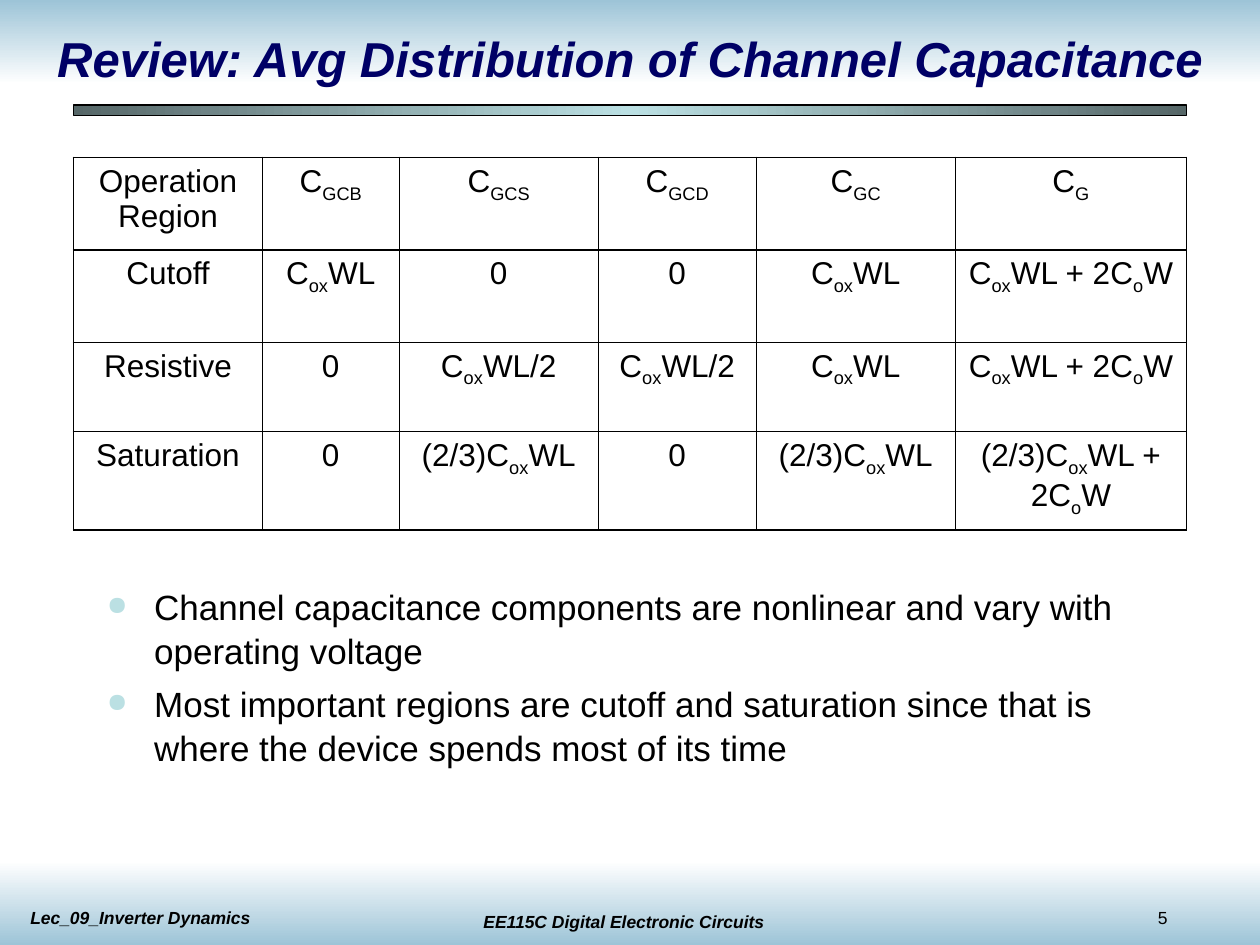
from dataclasses import dataclass

from lxml import etree
from pptx import Presentation
from pptx.dml.color import RGBColor
from pptx.enum.shapes import MSO_SHAPE
from pptx.enum.text import MSO_ANCHOR, PP_ALIGN
from pptx.oxml.ns import qn
from pptx.slide import Slide
from pptx.table import _Cell
from pptx.text.text import _Paragraph
from pptx.util import Pt

RECTANGLE = MSO_SHAPE.RECTANGLE
MIDDLE, TOP = MSO_ANCHOR.MIDDLE, MSO_ANCHOR.TOP
LEFT, CENTER = PP_ALIGN.LEFT, PP_ALIGN.CENTER

EMU_PER_PX = 7620
FONT = "Arial"
COLORS = {
    "ink": "000000",
    "title": "000066",
    "sky": "9DC4D7",
    "paper": "FFFFFF",
    "slate": "566768",
    "aqua": "BBE0E3",
}
HEAVY, LIGHT = 1.08, 0.45


@dataclass(frozen=True)
class Band:
    left: int
    top: int
    width: int
    height: int
    stops: tuple[str, ...]
    angle: int
    outlined: bool = False


@dataclass(frozen=True)
class Label:
    left: int
    top: int
    width: int
    height: int
    text: str
    size: int = 10
    color: str = "ink"
    emphasis: bool = True
    align: PP_ALIGN = LEFT
    anchor: MSO_ANCHOR = TOP
    wrap: bool = True


BANDS = (
    Band(0, 0, 1200, 80, ("sky", "paper"), 90),
    Band(0, 820, 1200, 80, ("paper", "sky"), 90),
    Band(70, 100, 1060, 10, ("slate", "aqua", "slate"), 180, outlined=True),
)
LABELS = (
    Label(424, 862, 340, 32, "EE115C Digital Electronic Circuits", align=CENTER),
    Label(1091, 858, 100, 32, "5", emphasis=False, wrap=False),
    Label(17, 858, 340, 32, "Lec_09_Inverter Dynamics"),
    Label(20, 20, 1160, 70, "Review: Avg Distribution of Channel Capacitance",
          size=28, color="title", align=CENTER, anchor=MIDDLE),
)
COLUMN_WIDTHS = (180, 130, 190, 150, 190, 220)
ROW_HEIGHTS = (88, 88, 85, 94)
CAPACITANCES = (
    ("Operation Region", "C[GCB]", "C[GCS]", "C[GCD]", "C[GC]", "C[G]"),
    ("Cutoff", "C[ox]WL", "0", "0", "C[ox]WL", "C[ox]WL + 2C[o]W"),
    ("Resistive", "0", "C[ox]WL/2", "C[ox]WL/2", "C[ox]WL", "C[ox]WL + 2C[o]W"),
    ("Saturation", "0", "(2/3)C[ox]WL", "0", "(2/3)C[ox]WL", "(2/3)C[ox]WL + 2C[o]W"),
)
TAKEAWAYS = (
    "Channel capacitance components are nonlinear and vary with operating voltage",
    "Most important regions are cutoff and saturation since that is "
    "where the device spends most of its time",
)


def px(length: int) -> int:
    return length * EMU_PER_PX


def box(*lengths: int) -> list[int]:
    return [px(length) for length in lengths]


def set_font(paragraph: _Paragraph, size: int, color: str = "ink", emphasis: bool = False) -> None:
    font = paragraph.font
    font.name, font.size = FONT, Pt(size)
    font.bold = font.italic = emphasis
    font.color.rgb = RGBColor.from_string(COLORS[color])


def add_color(parent: etree._Element, color: str) -> None:
    etree.SubElement(parent, qn("a:srgbClr"), val=COLORS[color])


def draw_band(slide: Slide, band: Band) -> None:
    bar = slide.shapes.add_shape(
        RECTANGLE, *box(band.left, band.top, band.width, band.height))
    bar.shadow.inherit = False
    bar.fill.gradient()
    gradient = bar._element.spPr.find(qn("a:gradFill"))
    stop_list = gradient.find(qn("a:gsLst"))
    for stop in list(stop_list):
        stop_list.remove(stop)
    for index, color in enumerate(band.stops):
        position = 100000 * index // (len(band.stops) - 1)
        add_color(etree.SubElement(stop_list, qn("a:gs"), pos=str(position)), color)
    gradient.find(qn("a:lin")).set("ang", str(band.angle * 60000))
    if band.outlined:
        bar.line.color.rgb = RGBColor.from_string(COLORS["ink"])
        bar.line.width = Pt(0.75)
    else:
        bar.line.fill.background()


def draw_label(slide: Slide, label: Label) -> None:
    frame = slide.shapes.add_textbox(
        *box(label.left, label.top, label.width, label.height)).text_frame
    frame.word_wrap = label.wrap
    frame.vertical_anchor = label.anchor
    paragraph = frame.paragraphs[0]
    paragraph.text = label.text
    paragraph.alignment = label.align
    set_font(paragraph, label.size, label.color, label.emphasis)


def write_formula(cell: _Cell, formula: str) -> None:
    paragraph = cell.text_frame.paragraphs[0]
    paragraph.alignment = CENTER
    set_font(paragraph, 18)
    for index, part in enumerate(formula.replace("]", "[").split("[")):
        if part:
            run = paragraph.add_run()
            run.text = part
            if index % 2:
                run._r.get_or_add_rPr().set("baseline", "-25000")


def set_borders(cell: _Cell, row: int, column: int) -> None:
    last_row, last_column = len(ROW_HEIGHTS) - 1, len(COLUMN_WIDTHS) - 1
    heavy_sides = {
        "a:lnL": column in (0, 1),
        "a:lnR": column in (0, last_column),
        "a:lnT": row in (0, 1),
        "a:lnB": row in (0, last_row),
    }
    properties = cell._tc.get_or_add_tcPr()
    for position, (side, heavy) in enumerate(heavy_sides.items()):
        border = etree.Element(qn(side), w=str(Pt(HEAVY if heavy else LIGHT)))
        add_color(etree.SubElement(border, qn("a:solidFill")), "ink")
        properties.insert(position, border)


def draw_capacitance_table(slide: Slide) -> None:
    table = slide.shapes.add_table(
        len(ROW_HEIGHTS), len(COLUMN_WIDTHS),
        *box(70, 150, sum(COLUMN_WIDTHS), sum(ROW_HEIGHTS))).table
    table.first_row = table.horz_banding = False
    for column, width in zip(table.columns, COLUMN_WIDTHS):
        column.width = px(width)
    for row, height in zip(table.rows, ROW_HEIGHTS):
        row.height = px(height)
    for row, formulas in enumerate(CAPACITANCES):
        for column, formula in enumerate(formulas):
            cell = table.cell(row, column)
            cell.fill.background()
            write_formula(cell, formula)
            set_borders(cell, row, column)


def draw_takeaways(slide: Slide) -> None:
    frame = slide.shapes.add_textbox(*box(90, 550, 1020, 210)).text_frame
    frame.word_wrap = True
    for index, takeaway in enumerate(TAKEAWAYS):
        paragraph = frame.add_paragraph() if index else frame.paragraphs[0]
        paragraph.text = takeaway
        properties = paragraph._p.get_or_add_pPr()
        properties.set("marL", str(px(45)))
        properties.set("indent", str(-px(45)))
        add_color(etree.SubElement(properties, qn("a:buClr")), "aqua")
        etree.SubElement(properties, qn("a:buSzPct"), val="75000")
        etree.SubElement(properties, qn("a:buChar"), char="●")
        paragraph.line_spacing = 1.05
        if index:
            paragraph.space_before = Pt(5)
        set_font(paragraph, 20)


def main() -> None:
    presentation = Presentation()
    presentation.slide_width, presentation.slide_height = box(1200, 900)
    slide = presentation.slides.add_slide(presentation.slide_layouts[6])
    for band in BANDS:
        draw_band(slide, band)
    for label in LABELS:
        draw_label(slide, label)
    draw_capacitance_table(slide)
    draw_takeaways(slide)
    presentation.save("out.pptx")


if __name__ == "__main__":
    main()
